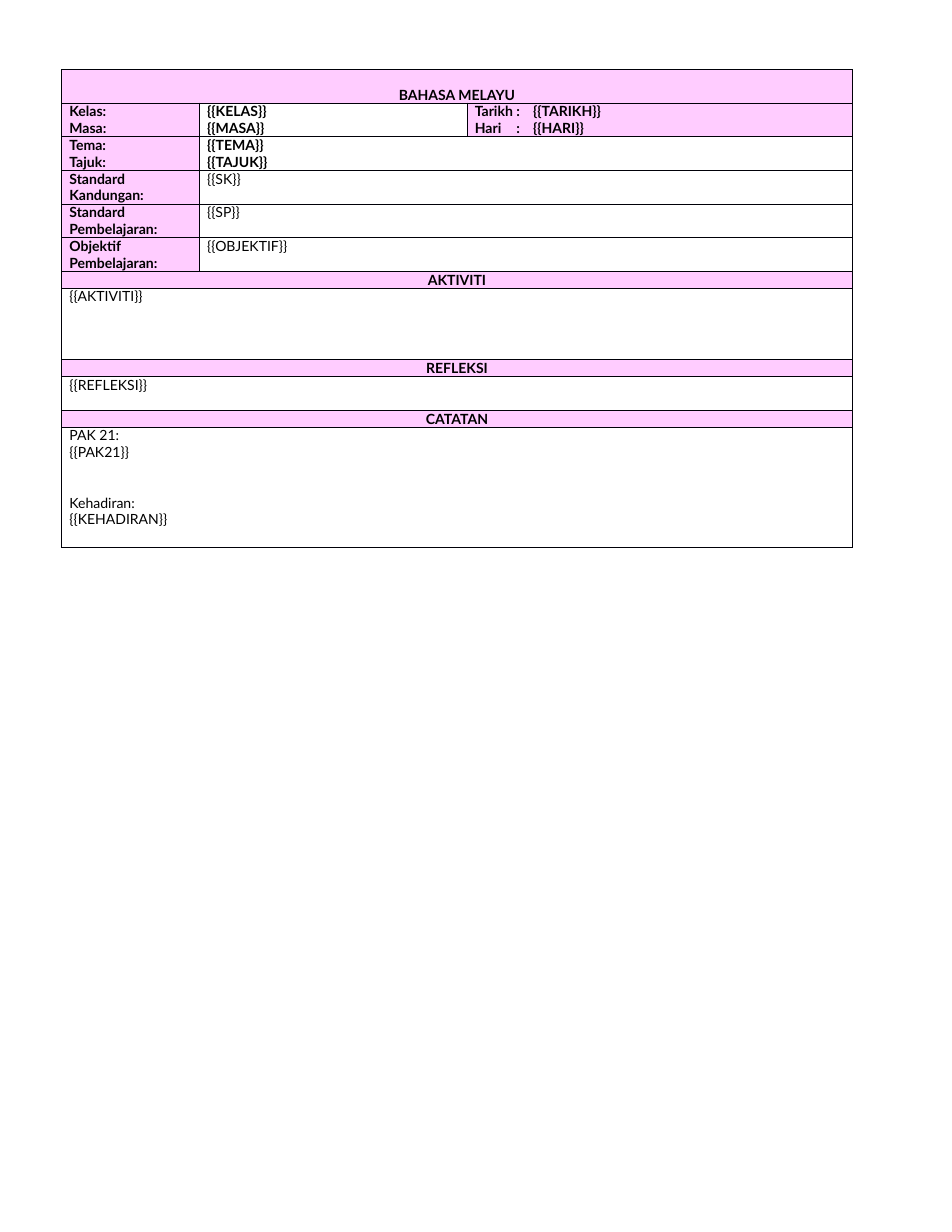
from lxml.etree import SubElement
from pptx import Presentation
from pptx.dml.color import RGBColor
from pptx.enum.text import MSO_ANCHOR, PP_ALIGN
from pptx.oxml.ns import qn
from pptx.util import Inches, Pt

PINK = RGBColor(0xFF, 0xCC, 0xFF)
BLACK = RGBColor(0x00, 0x00, 0x00)
BORDER = RGBColor(0x00, 0x00, 0x08)
FONT = "Lato"
TEXT_SIZE = Pt(9)
LINE = 0.15  # height of one text line, in inches

COLUMN_WIDTHS = [1.23, 2.39, 3.44]
DATE_TABS = [0.37, 0.52]  # colon, then value

# Each cell: lines, kind, number of columns it spans
ROWS = [
    (2 * LINE, [(["BAHASA MELAYU"], "title", 3)]),
    (2 * LINE, [(["Kelas:", "Masa:"], "label", 1),
                (["{{KELAS}}", "{{MASA}}"], "strong", 1),
                (["Tarikh\t:\t{{TARIKH}}", "Hari\t:\t{{HARI}}"], "label", 1)]),
    (2 * LINE, [(["Tema:", "Tajuk:"], "label", 1),
                (["{{TEMA}}", "{{TAJUK}}"], "strong", 2)]),
    (2 * LINE, [(["Standard Kandungan:"], "label", 1), (["{{SK}}"], "body", 2)]),
    (2 * LINE, [(["Standard Pembelajaran:"], "label", 1), (["{{SP}}"], "body", 2)]),
    (2 * LINE, [(["Objektif", "Pembelajaran:"], "label", 1),
                (["{{OBJEKTIF}}"], "body", 2)]),
    (LINE, [(["AKTIVITI"], "heading", 3)]),
    (0.64, [(["{{AKTIVITI}}"], "body", 3)]),
    (LINE, [(["REFLEKSI"], "heading", 3)]),
    (2 * LINE, [(["{{REFLEKSI}}"], "body", 3)]),
    (LINE, [(["CATATAN"], "heading", 3)]),
    (1.07, [(["PAK 21:", "{{PAK21}}", "Kehadiran:", "{{KEHADIRAN}}"], "body", 3)]),
]
ANCHORS = {"title": MSO_ANCHOR.BOTTOM, "heading": MSO_ANCHOR.MIDDLE}


def set_borders(cell):
    properties = cell._tc.get_or_add_tcPr()
    for side in ("lnL", "lnR", "lnT", "lnB"):
        line = SubElement(properties, qn(f"a:{side}"), w=str(Pt(0.5)))
        fill = SubElement(line, qn("a:solidFill"))
        SubElement(fill, qn("a:srgbClr"), val=str(BORDER))


def set_tabs(paragraph, positions):
    tab_list = SubElement(paragraph._p.get_or_add_pPr(), qn("a:tabLst"))
    for position in positions:
        SubElement(tab_list, qn("a:tab"), pos=str(Inches(position)), algn="l")


def write_cell(cell, lines, kind):
    cell.margin_left = cell.margin_right = Inches(0.07)
    cell.margin_top = cell.margin_bottom = 0
    cell.vertical_anchor = ANCHORS.get(kind, MSO_ANCHOR.TOP)
    if kind in ("title", "heading", "label"):
        cell.fill.solid()
        cell.fill.fore_color.rgb = PINK
    else:
        cell.fill.background()

    text_frame = cell.text_frame
    for index, line in enumerate(lines):
        paragraph = text_frame.add_paragraph() if index else text_frame.paragraphs[0]
        paragraph.alignment = PP_ALIGN.CENTER if kind in ANCHORS else PP_ALIGN.LEFT
        if line == "Kehadiran:":
            paragraph.space_before = Pt(21.6)  # two lines of air
        if "\t" in line:
            set_tabs(paragraph, DATE_TABS)
        run = paragraph.add_run()
        run.text = line
        run.font.name = FONT
        run.font.size = TEXT_SIZE
        run.font.bold = kind != "body"
        run.font.color.rgb = BLACK


def add_lesson_table(slide, left, top, width, height):
    table = slide.shapes.add_table(
        len(ROWS), len(COLUMN_WIDTHS), left, top, width, height).table
    table.first_row = False
    table.horz_banding = False
    for column, column_width in zip(table.columns, COLUMN_WIDTHS):
        column.width = Inches(column_width)
    for cell in table.iter_cells():
        set_borders(cell)

    for row_index, (row_height, cells) in enumerate(ROWS):
        table.rows[row_index].height = Inches(row_height)
        column_index = 0
        for lines, kind, span in cells:
            cell = table.cell(row_index, column_index)
            if span > 1:
                cell.merge(table.cell(row_index, column_index + span - 1))
            write_cell(cell, lines, kind)
            column_index += span


def main():
    presentation = Presentation()
    presentation.slide_width = Inches(8.5)
    presentation.slide_height = Inches(11)
    slide = presentation.slides.add_slide(presentation.slide_layouts[6])
    add_lesson_table(slide, Inches(0.55), Inches(0.62), Inches(7.06), Inches(4.26))
    presentation.save("out.pptx")


if __name__ == "__main__":
    main()
